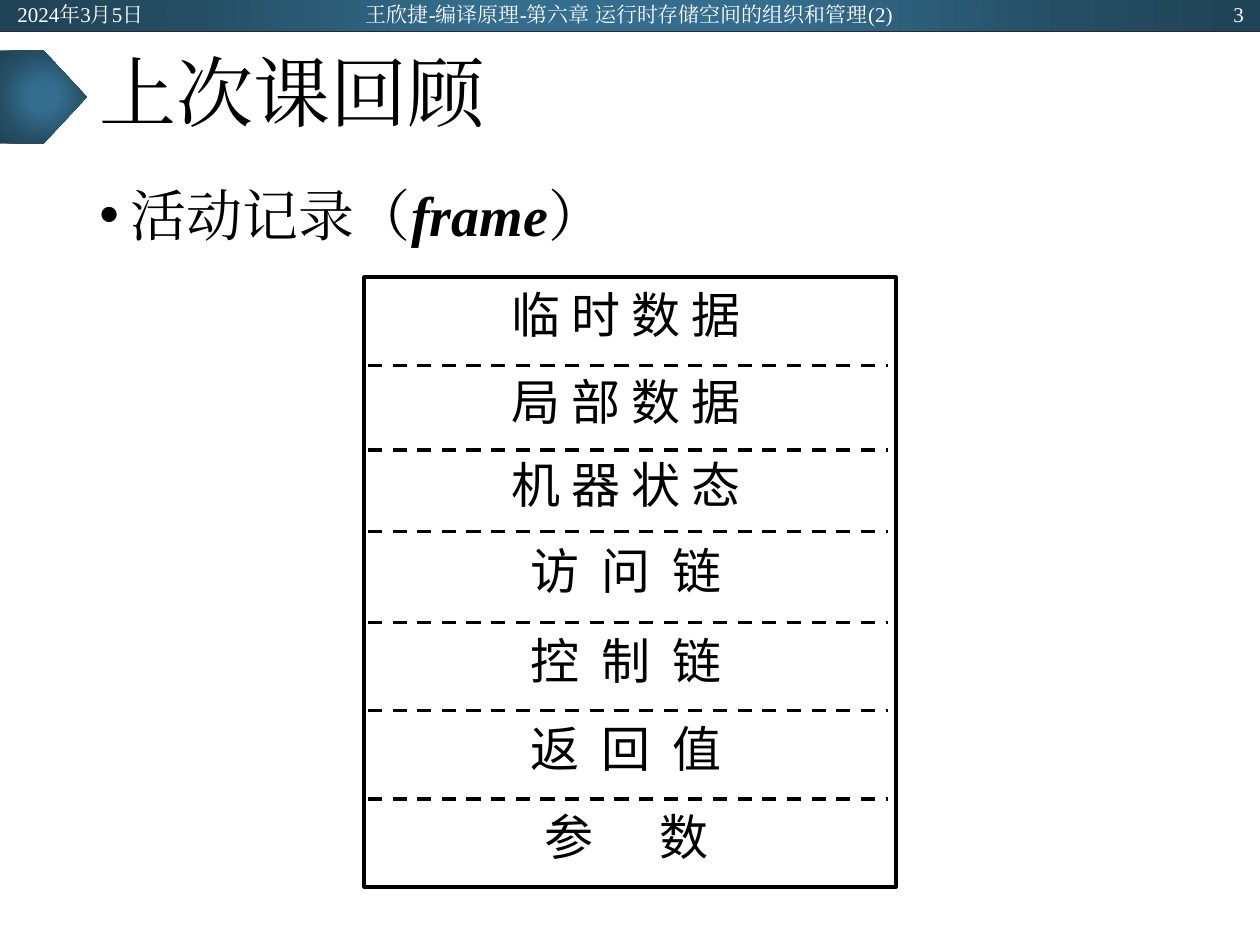
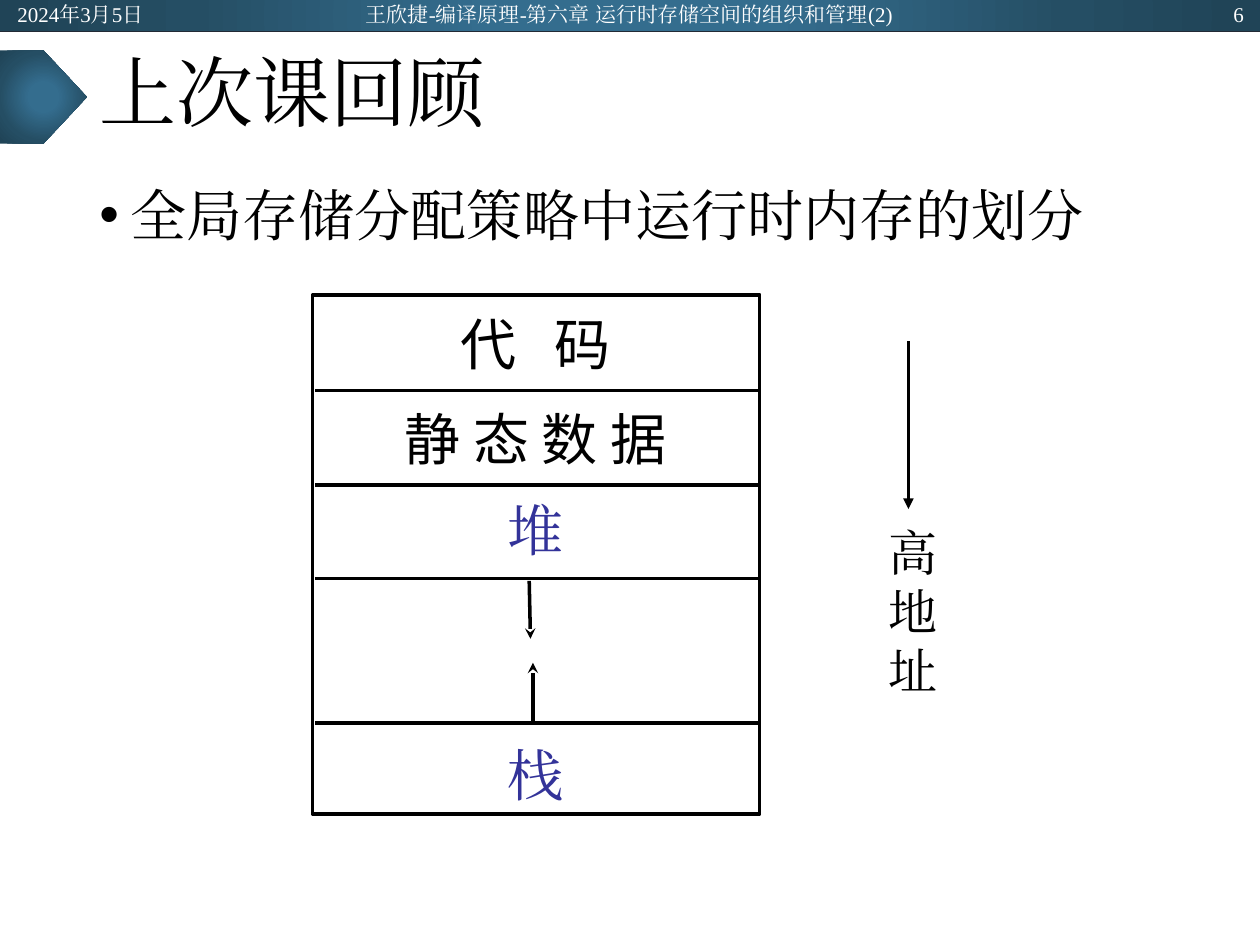
from pptx import Presentation
from pptx.dml.color import RGBColor
from pptx.enum.dml import MSO_LINE
from pptx.enum.shapes import MSO_CONNECTOR, MSO_SHAPE
from pptx.enum.text import MSO_ANCHOR, PP_ALIGN
from pptx.oxml import parse_xml
from pptx.oxml.ns import nsdecls, qn
from pptx.util import Emu, Inches, Pt
from lxml.etree import SubElement

SLIDE_WIDTH, SLIDE_HEIGHT = Inches(10), Inches(7.5)
COLUMN, ROW = SLIDE_WIDTH / 100, SLIDE_HEIGHT / 75

BLACK = RGBColor(0x00, 0x00, 0x00)
WHITE = RGBColor(0xFF, 0xFF, 0xFF)
INDIGO = RGBColor(0x33, 0x33, 0x99)
BAND_EDGE = RGBColor(0x22, 0x2A, 0x35)
BAND_LIGHT = RGBColor(0x34, 0x6D, 0x8E)
BAND_MIDDLE = RGBColor(0x25, 0x4E, 0x64)
BAND_DARK = RGBColor(0x20, 0x44, 0x57)
BAND_STOPS = [(0, BAND_LIGHT), (23, BAND_LIGHT), (69, BAND_MIDDLE), (97, BAND_DARK)]

SERIF, SANS = "Times New Roman", "Noto Sans CJK SC"
SPACE_WIDTH = 0.224

TITLE = "上次课回顾"
DATE = "2024年3月5日"
COURSE = "王欣捷-编译原理-第六章 运行时存储空间的组织和管理(2)"

RECORD_EDGES = [22, 29, 35.7, 42.2, 49.4, 56.4, 63.4, 70.4]
RECORD_FIELDS = [
    ("临 时 数 据", 1), ("局 部 数 据", 1), ("机 器 状 态", 1),
    ("访 问 链", 2), ("控 制 链", 2), ("返 回 值", 2), ("参 数", 6),
]
MEMORY_EDGES = [23.4, 31, 38.5, 45.9, 57.4, 64.6]
MEMORY_AREAS = [
    ("代 码", 23.7, SANS, BLACK, 3),
    ("静 态 数 据", 31.2, SANS, BLACK, 1),
    ("堆", 38.4, SERIF, INDIGO, 1),
    ("栈", 57.9, SERIF, INDIGO, 1),
]


def cells(left, top, width, height):
    return [Emu(round(length * unit)) for length, unit in
            ((left, COLUMN), (top, ROW), (width, COLUMN), (height, ROW))]


def format_run(run, size, font=SERIF, color=BLACK):
    run.font.size = Pt(size)
    run.font.name = font
    run.font.color.rgb = color
    SubElement(run.font._element, qn("a:ea")).set("typeface", font)


def add_text(slide, area, lines, size, font=SERIF, color=BLACK,
             align=PP_ALIGN.LEFT, anchor=MSO_ANCHOR.TOP, wrap=True):
    text_frame = slide.shapes.add_textbox(*cells(*area)).text_frame
    text_frame.word_wrap = wrap
    text_frame.vertical_anchor = anchor
    text_frame.text = lines
    for paragraph in text_frame.paragraphs:
        paragraph.alignment = align
        for run in paragraph.runs:
            format_run(run, size, font, color)
    return text_frame


def add_label(slide, area, text, size, font=SANS, color=BLACK, gap=1,
              anchor=MSO_ANCHOR.TOP):
    text_frame = add_text(slide, area, text, size, font, color,
                          PP_ALIGN.CENTER, anchor)
    text_frame.margin_top = Inches(0.09)
    if gap > 1:
        paragraph = text_frame.paragraphs[0]
        spaced = paragraph.runs[0]
        spaced.text = text[:-1]
        spacing = (gap - 1) * SPACE_WIDTH * size / 2
        spaced.font._element.set("spc", str(round(spacing * 100)))
        last = paragraph.add_run()
        last.text = text[-1]
        format_run(last, size, font, color)


def add_line(slide, start, end, color=BLACK, width=2, dash=None, arrow=None):
    begin_x, begin_y, end_x, end_y = cells(*start, *end)
    connector = slide.shapes.add_connector(
        MSO_CONNECTOR.STRAIGHT, begin_x, begin_y, end_x, end_y)
    connector.line.color.rgb = color
    connector.line.width = Pt(width)
    if dash:
        connector.line.dash_style = dash
    if arrow:
        SubElement(connector.line._get_or_add_ln(), qn("a:tailEnd")).set("type", arrow)
    SubElement(connector._element.spPr, qn("a:effectLst"))


def add_gradient_shape(slide, preset, area):
    shape = slide.shapes.add_shape(preset, *cells(*area))
    shape.shadow.inherit = False
    shape.line.fill.background()
    stops = "".join(
        f'<a:gs pos="{position * 1000}"><a:srgbClr val="{color}"/></a:gs>'
        for position, color in BAND_STOPS)
    gradient = parse_xml(
        f'<a:gradFill {nsdecls("a")} rotWithShape="1"><a:gsLst>{stops}</a:gsLst>'
        '<a:path path="circle"><a:fillToRect l="50000" t="50000" r="50000" b="50000"/>'
        '</a:path></a:gradFill>')
    shape._element.spPr.find(qn("a:prstGeom")).addnext(gradient)


def add_frame(slide, area):
    frame = slide.shapes.add_shape(MSO_SHAPE.RECTANGLE, *cells(*area))
    frame.shadow.inherit = False
    frame.fill.background()
    frame.line.color.rgb = BLACK
    frame.line.width = Pt(2)


def add_bullet(slide, parts):
    text_frame = add_text(slide, (6.9, 13.8, 86.2, 53.8), "", 32)
    paragraph = text_frame.paragraphs[0]
    paragraph.space_before = Pt(10)
    for text, emphasised in parts:
        run = paragraph.add_run()
        run.text = text
        format_run(run, 32)
        run.font.bold = run.font.italic = emphasised
    properties = paragraph._element.get_or_add_pPr()
    properties.set("marL", str(Inches(0.25)))
    properties.set("indent", str(-Inches(0.25)))
    SubElement(properties, qn("a:buFont")).set("typeface", "Arial")
    SubElement(properties, qn("a:buChar")).set("char", "•")


def add_lesson_slide(presentation, number, bullet):
    slide = presentation.slides.add_slide(presentation.slide_layouts[6])
    add_gradient_shape(slide, MSO_SHAPE.RECTANGLE, (0, 0, 100, 2.5))
    add_line(slide, (0, 2.5), (100, 2.5), BAND_EDGE, 0.5)
    add_gradient_shape(slide, MSO_SHAPE.PENTAGON, (0, 4, 6.9, 7.4))
    title = add_text(slide, (6.9, 2.5, 86.2, 10.4), TITLE, 44,
                     anchor=MSO_ANCHOR.MIDDLE)
    title.paragraphs[0].line_spacing = 0.9
    for area, text, align in (
        ((0.4, 0.1, 22.5, 2), DATE, PP_ALIGN.LEFT),
        ((25.3, -0.3, 49.3, 2.8), COURSE, PP_ALIGN.CENTER),
        ((77.2, 0.1, 22.5, 2), str(number), PP_ALIGN.RIGHT),
    ):
        add_text(slide, area, text, 12, color=WHITE, align=align,
                 anchor=MSO_ANCHOR.MIDDLE)
    add_bullet(slide, bullet)
    return slide


def add_activation_record(slide):
    top, bottom = RECORD_EDGES[0], RECORD_EDGES[-1]
    add_frame(slide, (28.9, top, 42.2, bottom - top))
    for edge in RECORD_EDGES[1:-1]:
        add_line(slide, (29.2, edge), (70.5, edge), dash=MSO_LINE.DASH)
    for (text, gap), upper, lower in zip(RECORD_FIELDS, RECORD_EDGES, RECORD_EDGES[1:]):
        middle = (upper + lower) / 2 - 0.75
        add_label(slide, (29.9, middle - 4.15, 39.6, 8.3), text, 28, gap=gap,
                  anchor=MSO_ANCHOR.MIDDLE)


def add_memory_map(slide):
    top, bottom = MEMORY_EDGES[0], MEMORY_EDGES[-1]
    add_frame(slide, (24.8, top, 35.5, bottom - top))
    for edge in MEMORY_EDGES[1:-1]:
        add_line(slide, (25, edge), (60.2, edge))
    for text, label_top, font, color, gap in MEMORY_AREAS:
        add_label(slide, (25.6, label_top, 33.8, 6.5), text, 32, font, color, gap)
    add_line(slide, (42, 46.1), (42.1, 50.7), arrow="stealth")
    add_line(slide, (42.3, 57.2), (42.3, 52.6), arrow="stealth")


def add_address_direction(slide):
    add_line(slide, (72.1, 27.1), (72.1, 40.4), arrow="triangle")
    add_text(slide, (69.5, 41, 5.9, 16.9), "高\n地\n址", 28, wrap=False)


def main():
    presentation = Presentation()
    presentation.slide_width, presentation.slide_height = SLIDE_WIDTH, SLIDE_HEIGHT

    record_slide = add_lesson_slide(
        presentation, 3, [("活动记录（", False), ("frame", True), ("）", False)])
    add_activation_record(record_slide)

    memory_slide = add_lesson_slide(
        presentation, 6, [("全局存储分配策略中运行时内存的划分", False)])
    add_memory_map(memory_slide)
    add_address_direction(memory_slide)

    presentation.save("out.pptx")


if __name__ == "__main__":
    main()
